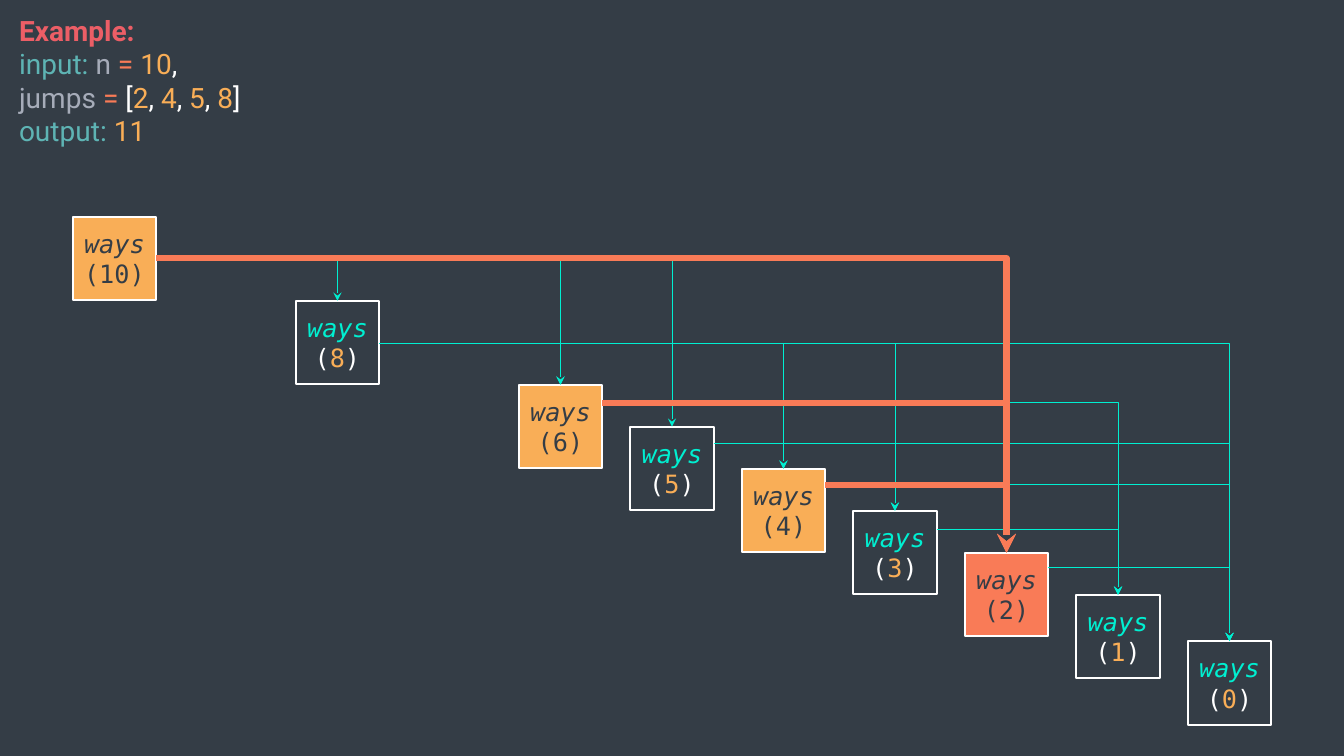
import pptx
import pptx.util
import pptx.dml.color
import pptx.enum.shapes
import pptx.enum.text
import pptx.oxml
import pptx.oxml.ns
from pptx.util import Inches

COLORS = {
    "slate": "343D46", "red": "EC5E66", "teal": "5EB4B4", "grey": "A6ACB9",
    "coral": "F97B57", "amber": "F9AE57", "white": "FFFFFF", "mint": "00EFD1",
}

EXAMPLE = [
    [("Example:", "red")],
    [("input: ", "teal"), ("n ", "grey"), ("= ", "coral"), ("10", "amber"), (",", "white")],
    [("jumps ", "grey"), ("= ", "coral"), ("[", "white"), ("2", "amber"), (", ", "white"),
     ("4", "amber"), (", ", "white"), ("5", "amber"), (", ", "white"), ("8", "amber"), ("]", "white")],
    [("output: ", "teal"), ("11", "amber")],
]

CALLS = {10: "amber", 8: "slate", 6: "amber", 5: "slate", 4: "amber",
         3: "slate", 2: "coral", 1: "slate", 0: "slate"}

JUMPS = {10: [6, 8, 5], 8: [6, 4, 3, 0], 6: [4, 1], 5: [3, 1, 0], 4: [0], 3: [1], 2: [0]}
EXIT_DROP = {10: 0.41, 8: 0.42, 6: 0.18, 5: 0.17, 4: 0.16, 3: 0.18, 2: 0.15}
HIGHLIGHTED = [(10, 2), (6, 2), (4, 2)]

BOX = 0.83
FIRST_LEFT, LAST_LEFT = 0.72, 11.78
FIRST_TOP, ONE_TOP, ZERO_TOP = 2.15, 5.9, 6.36


def rgb(color):
    return pptx.dml.color.RGBColor.from_string(COLORS[color])


def box_corner(n):
    left = FIRST_LEFT + (10 - n) * (LAST_LEFT - FIRST_LEFT) / 10
    top = FIRST_TOP + (10 - n) * (ONE_TOP - FIRST_TOP) / 9
    return left, top if n else ZERO_TOP


def write_runs(paragraph, pieces, font_name, size, bold=False, italic=False):
    for words, color in pieces:
        run = paragraph.add_run()
        run.text = words
        run.font.name = font_name
        run.font.size = pptx.util.Pt(size)
        run.font.bold = bold
        run.font.italic = italic
        run.font.color.rgb = rgb(color)


def add_example(slide):
    example = slide.shapes.add_textbox(Inches(0.09), Inches(0.08), Inches(2.78), Inches(1.45))
    frame = example.text_frame
    frame.word_wrap = True
    for i, pieces in enumerate(EXAMPLE):
        paragraph = frame.add_paragraph() if i else frame.paragraphs[0]
        write_runs(paragraph, pieces, "Roboto", 20, bold=i == 0)


def add_call(slide, n, fill):
    left, top = box_corner(n)
    call = slide.shapes.add_shape(pptx.enum.shapes.MSO_SHAPE.RECTANGLE,
                                  Inches(left), Inches(top), Inches(BOX), Inches(BOX))
    call.shadow.inherit = False
    call.fill.solid()
    call.fill.fore_color.rgb = rgb(fill)
    call.line.color.rgb = rgb("white")
    call.line.width = pptx.util.Pt(1.5)
    frame = call.text_frame
    frame.margin_left = frame.margin_right = 0
    frame.vertical_anchor = pptx.enum.text.MSO_ANCHOR.MIDDLE
    if fill == "slate":
        name_color, argument = "mint", [("(", "white"), (str(n), "amber"), (")", "white")]
    else:
        name_color, argument = "slate", [(f"({n})", "slate")]
    name_line, argument_line = frame.paragraphs[0], frame.add_paragraph()
    write_runs(name_line, [("ways", name_color)], "DejaVu Sans Mono", 18, italic=True)
    write_runs(argument_line, argument, "DejaVu Sans Mono", 18)
    for paragraph in frame.paragraphs:
        paragraph.alignment = pptx.enum.text.PP_ALIGN.CENTER


def add_jump(slide, start, end, color, width):
    start_left, start_top = box_corner(start)
    end_left, end_top = box_corner(end)
    jump = slide.shapes.add_connector(
        pptx.enum.shapes.MSO_CONNECTOR.ELBOW,
        Inches(start_left + BOX), Inches(start_top + EXIT_DROP[start]),
        Inches(end_left + BOX / 2), Inches(end_top))
    jump.line.color.rgb = rgb(color)
    jump.line.width = pptx.util.Pt(width)
    properties = jump._element.spPr
    properties.find(pptx.oxml.ns.qn("a:prstGeom")).set("prst", "bentConnector2")
    outline = jump.line._get_or_add_ln()
    outline.append(pptx.oxml.parse_xml(
        f'<a:tailEnd {pptx.oxml.ns.nsdecls("a")} type="stealth"/>'))
    properties.append(pptx.oxml.parse_xml(f'<a:effectLst {pptx.oxml.ns.nsdecls("a")}/>'))


def main():
    deck = pptx.Presentation()
    deck.slide_width, deck.slide_height = Inches(13.33), Inches(7.5)
    slide = deck.slides.add_slide(deck.slide_layouts[6])
    slide.background.fill.solid()
    slide.background.fill.fore_color.rgb = rgb("slate")
    add_example(slide)
    for n, fill in CALLS.items():
        add_call(slide, n, fill)
    for start, ends in JUMPS.items():
        for end in ends:
            add_jump(slide, start, end, "mint", 0.5)
    for start, end in HIGHLIGHTED:
        add_jump(slide, start, end, "coral", 4.5)
    deck.save("out.pptx")


if __name__ == "__main__":
    main()
